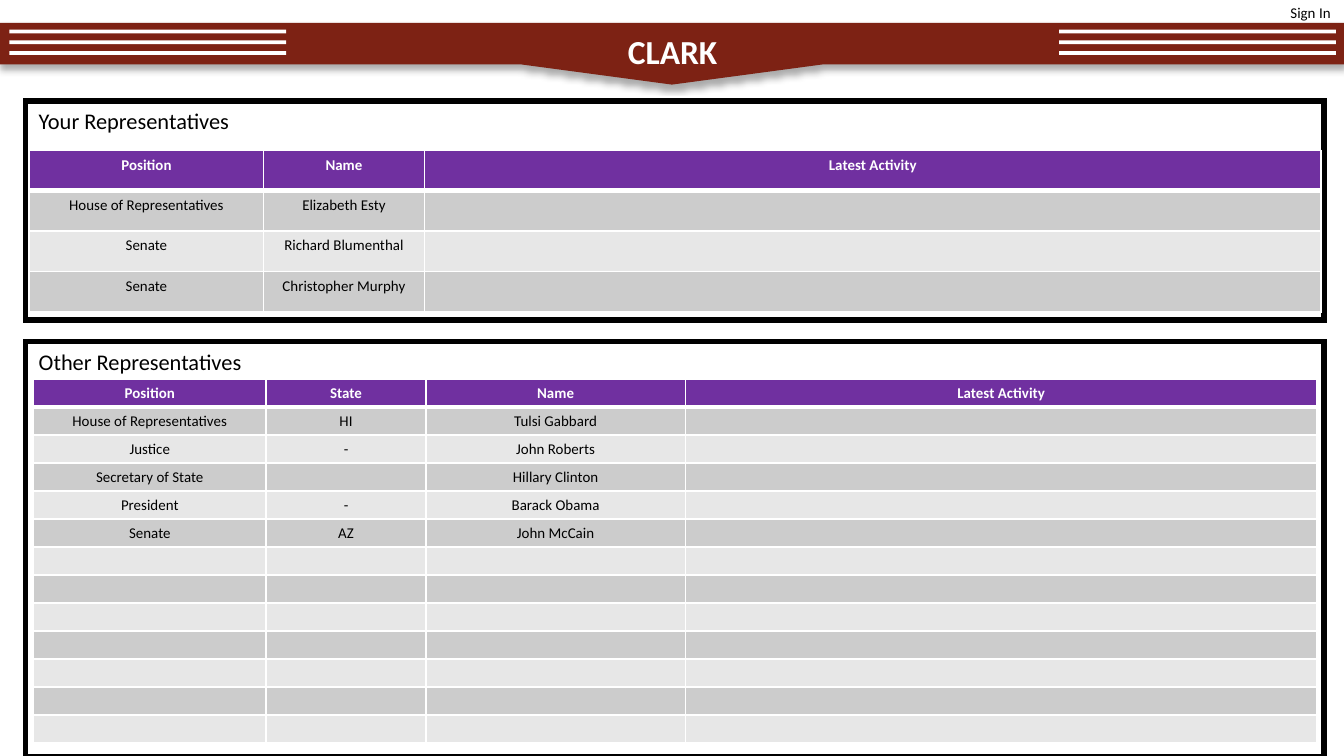
from pptx import Presentation
from pptx.dml.color import RGBColor
from pptx.enum.shapes import MSO_SHAPE
from pptx.enum.text import MSO_ANCHOR, PP_ALIGN
from pptx.oxml import parse_xml
from pptx.oxml.ns import nsdecls
from pptx.util import Inches, Pt

BLACK = RGBColor(0x00, 0x00, 0x00)
WHITE = RGBColor(0xFF, 0xFF, 0xFF)
MAROON = RGBColor(0x7D, 0x22, 0x14)
PURPLE = RGBColor(0x70, 0x30, 0xA0)
BANDS = [RGBColor(0xE7, 0xE7, 0xE7), RGBColor(0xCC, 0xCC, 0xCC)]

BANNER = [(0, 0.17), (10, 0.17), (10, 0.48), (6.12, 0.48),
          (5, 0.63), (3.88, 0.48), (0, 0.48)]
YOUR_REPS = [
    ["Position", "Name", "Latest Activity"],
    ["House of Representatives", "Elizabeth Esty", ""],
    ["Senate", "Richard Blumenthal", ""],
    ["Senate", "Christopher Murphy", ""],
]
OTHER_REPS = [
    ["Position", "State", "Name", "Latest Activity"],
    ["House of Representatives", "HI", "Tulsi Gabbard", ""],
    ["Justice", "-", "John Roberts", ""],
    ["Secretary of State", "", "Hillary Clinton", ""],
    ["President", "-", "Barack Obama", ""],
    ["Senate", "AZ", "John McCain", ""],
] + [[""] * 4] * 7


def write(tf, text, size=8, color=BLACK, bold=False, align=PP_ALIGN.LEFT):
    tf.word_wrap = True
    p = tf.paragraphs[0]
    p.alignment = align
    if not text:
        # Keeps an empty cell from growing to the default text size
        p._p.get_or_add_endParaRPr().set("sz", str(size * 100))
        return
    r = p.add_run()
    r.text = text
    r.font.name = "Calibri"
    r.font.size = Pt(size)
    r.font.bold = bold
    r.font.color.rgb = color


def border(cell, side, points):
    cell._tc.get_or_add_tcPr().append(parse_xml(
        f'<a:ln{side} {nsdecls("a")} w="{Pt(points)}"><a:solidFill>'
        f'<a:srgbClr val="{WHITE}"/></a:solidFill></a:ln{side}>'))


class SlideBuilder:
    def __init__(self, slide):
        self.s = slide

    def title(self, text, x, y, w, h):
        sp = self.s.shapes.title
        sp.left, sp.top, sp.width, sp.height = map(Inches, (x, y, w, h))
        sp.text_frame.vertical_anchor = MSO_ANCHOR.MIDDLE
        write(sp.text_frame, text, size=18, color=WHITE, bold=True,
              align=PP_ALIGN.CENTER)
        self.s.shapes._spTree.append(sp._element)  # in front of the banner

    def label(self, text, x, y, w, h, **fmt):
        sp = self.s.shapes.add_textbox(*map(Inches, (x, y, w, h)))
        write(sp.text_frame, text, **fmt)

    def rect(self, x, y, w, h):
        sp = self.s.shapes.add_shape(MSO_SHAPE.RECTANGLE,
                                     *map(Inches, (x, y, w, h)))
        sp.shadow.inherit = False
        sp.fill.solid()
        sp.fill.fore_color.rgb = WHITE
        sp.line.fill.background()
        return sp

    def panel(self, heading, x, y, w, h):
        sp = self.rect(x, y, w, h)
        sp.line.color.rgb = BLACK
        sp.line.width = Pt(3)
        sp.line._get_or_add_ln().append(
            parse_xml(f'<a:miter {nsdecls("a")} lim="800000"/>'))
        sp.text_frame.vertical_anchor = MSO_ANCHOR.TOP
        write(sp.text_frame, heading, size=12)

    def banner(self, points):
        pts = [(Inches(x), Inches(y)) for x, y in points]
        fb = self.s.shapes.build_freeform(*pts[0])
        fb.add_line_segments(pts[1:], close=True)
        sp = fb.convert_to_shape()
        sp.fill.solid()
        sp.fill.fore_color.rgb = MAROON
        sp.line.fill.background()
        sp._element.spPr.append(parse_xml(
            f'<a:effectLst {nsdecls("a")}><a:outerShdw blurRad="{Pt(3.5)}" '
            f'dist="{Pt(2.2)}" dir="5400000" rotWithShape="0"><a:srgbClr '
            f'val="{BLACK}"><a:alpha val="32000"/></a:srgbClr>'
            '</a:outerShdw></a:effectLst>'))

    def table(self, rows, x, y, h, widths):
        frame = self.s.shapes.add_table(
            len(rows), len(widths), *map(Inches, (x, y, sum(widths), h)))
        tbl = frame.table
        for col, w in zip(tbl.columns, widths):
            col.width = Inches(w)
        for i, row in enumerate(rows):
            tbl.rows[i].height = Inches(h / len(rows))
            for j, text in enumerate(row):
                self.cell(tbl.cell(i, j), text, i)

    def cell(self, cell, text, row):
        header = row == 0
        cell.margin_left = cell.margin_right = Inches(0.1)
        cell.margin_top, cell.margin_bottom = Inches(0.04), Inches(0.03)
        for side in "LRTB":
            thick = (row, side) in [(0, "B"), (1, "T")]
            border(cell, side, 3 if thick else 1)
        cell.fill.solid()
        cell.fill.fore_color.rgb = PURPLE if header else BANDS[row % 2]
        write(cell.text_frame, text, color=WHITE if header else BLACK,
              bold=header, align=PP_ALIGN.CENTER)


def main():
    prs = Presentation()
    prs.slide_width = Inches(10)
    prs.slide_height = prs.slide_width * 9 // 16
    b = SlideBuilder(prs.slides.add_slide(prs.slide_layouts[5]))

    b.label("Sign In", 8.15, -0.02, 1.85, 0.24, align=PP_ALIGN.RIGHT)
    b.banner(BANNER)
    for x in (0.07, 7.88):
        for i in range(3):
            b.rect(x, 0.22 + 0.08 * i, 2.06, 0.03)
    b.title("CLARK", 3.38, 0.18, 3.25, 0.4)

    b.panel("Your Representatives", 0.19, 0.75, 9.66, 1.63)
    b.table(YOUR_REPS, 0.22, 1.12, 1.2, [1.74, 1.2, 6.67])
    b.panel("Other Representatives", 0.19, 2.54, 9.66, 3.09)
    b.table(OTHER_REPS, 0.25, 2.82, 2.71, [1.73, 1.19, 1.93, 4.7])
    prs.save("out.pptx")


if __name__ == "__main__":
    main()
